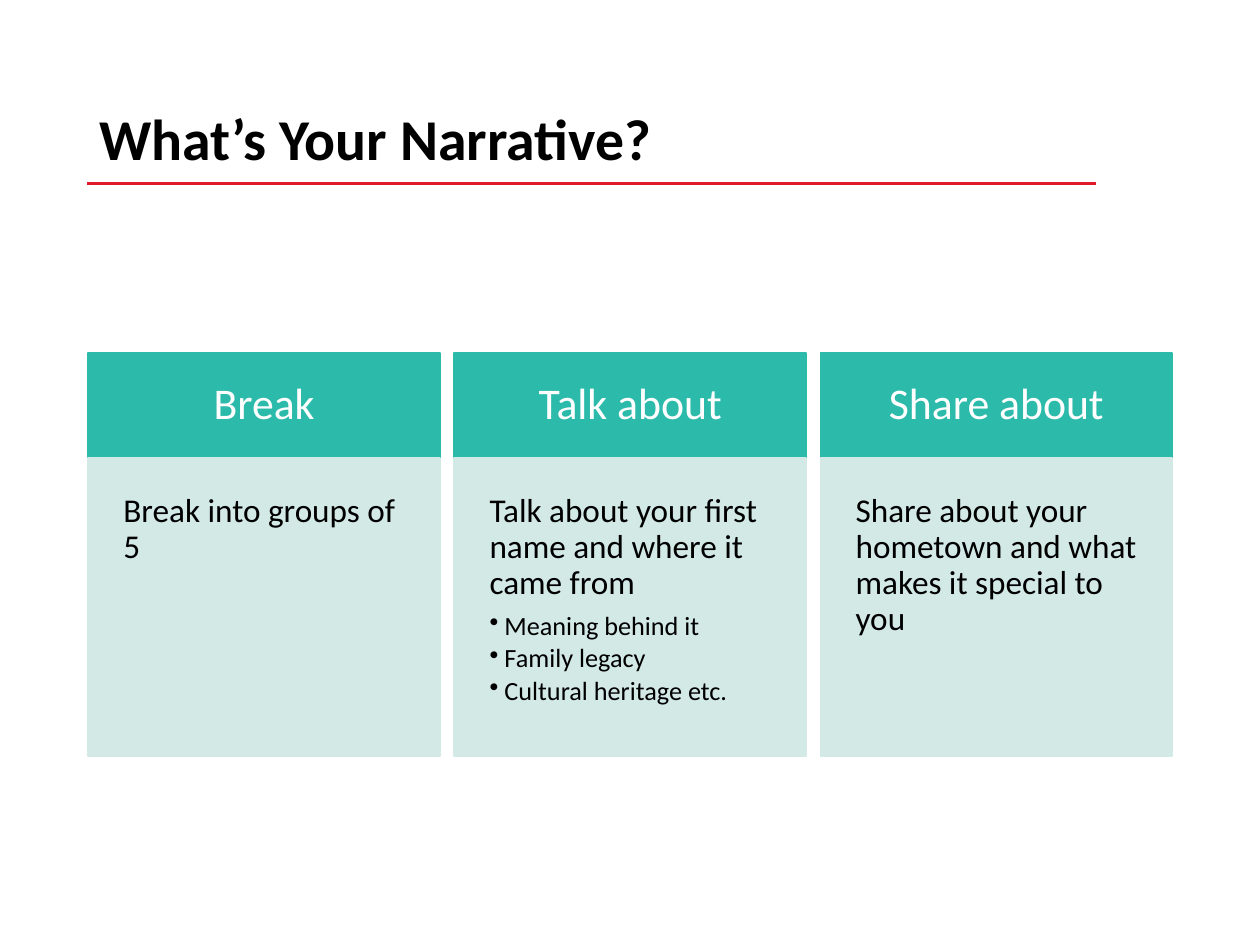
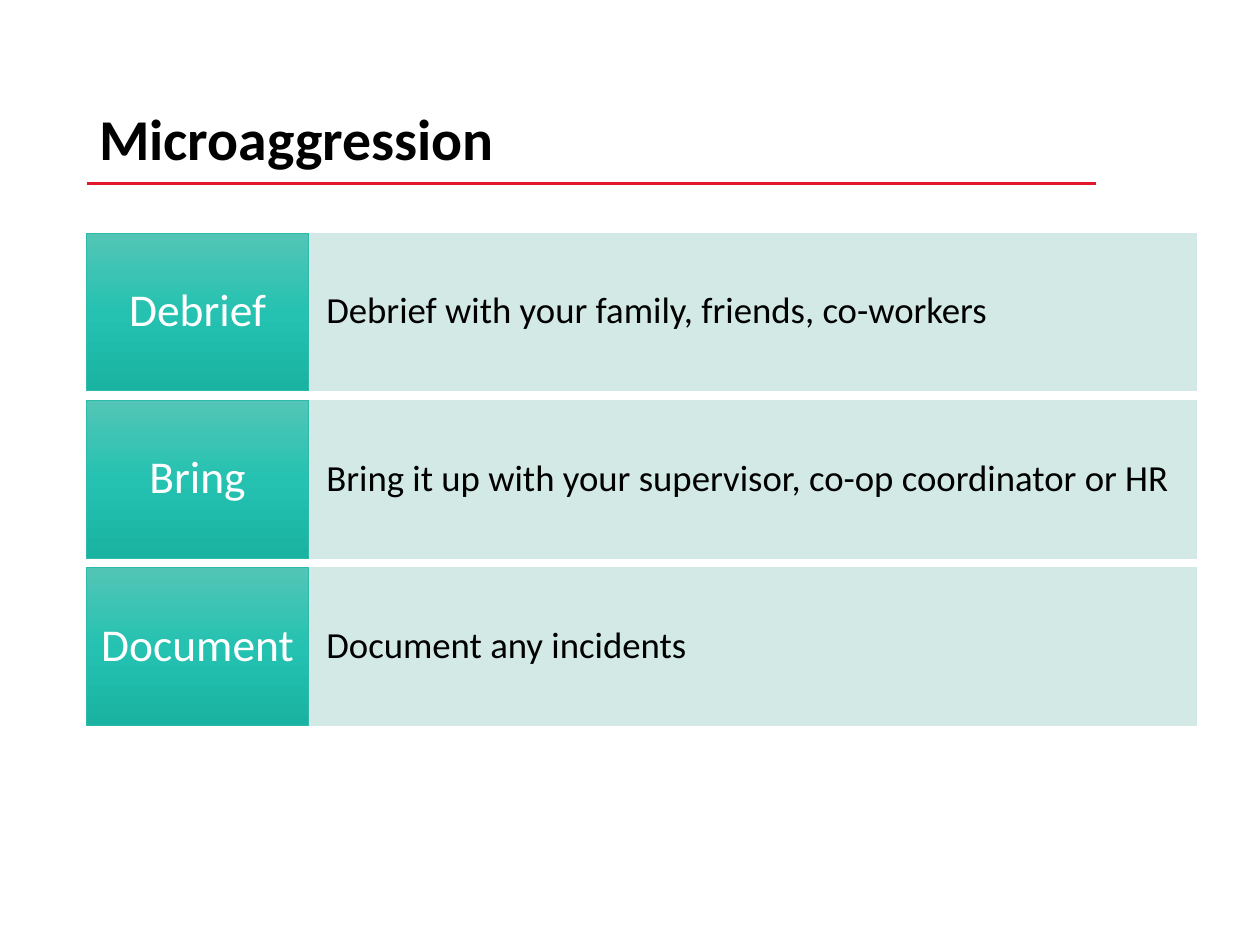
from copy import deepcopy

from lxml.etree import SubElement
from pptx import Presentation
from pptx.dml.color import RGBColor
from pptx.enum.shapes import MSO_CONNECTOR, MSO_SHAPE
from pptx.enum.text import MSO_ANCHOR, PP_ALIGN
from pptx.oxml.ns import qn
from pptx.util import Cm, Pt

COLOURS = {
    "rule": "E1192B",
    "title": "000000",
    "heading": "2CBBAB",
    "heading_text": "FFFFFF",
    "panel": "D2E9E5",
    "panel_text": "000000",
}
HEADING_GRADIENT = ["53C5B6", "25C2B1", "1AB3A2"]
FONT = "Calibri"
LEFT = 1.75

NARRATIVE_STEPS = [
    ("Break", "Break into groups of 5", []),
    ("Talk about", "Talk about your first name and where it came from",
     ["Meaning behind it", "Family legacy", "Cultural heritage etc."]),
    ("Share about", "Share about your hometown and what makes it special to you", []),
]
RESPONSES = [
    ("Debrief", "Debrief with your family, friends, co-workers"),
    ("Bring", "Bring it up with your supervisor, co-op coordinator or HR"),
    ("Document", "Document any incidents"),
]


def rgb(name):
    """Return the named colour."""
    return RGBColor.from_string(COLOURS[name])


def style_paragraph(paragraph, size, colour, bold=False, after=0.0):
    """Set the font and spacing, with the space after as a share of the size."""
    paragraph.line_spacing = 0.9
    paragraph.space_after = Pt(size * after)
    for run in paragraph.runs:
        run.font.name = FONT
        run.font.size = Pt(size)
        run.font.bold = bold
        run.font.color.rgb = rgb(colour)


def set_margins(text_frame, horizontal, vertical):
    """Wrap the text inside the given margins."""
    text_frame.word_wrap = True
    text_frame.margin_left = text_frame.margin_right = Cm(horizontal)
    text_frame.margin_top = text_frame.margin_bottom = Cm(vertical)


def add_titled_slide(presentation, title):
    """Add a blank slide with the shared title and red rule."""
    slide = presentation.slides.add_slide(presentation.slide_layouts[6])
    rule = slide.shapes.add_connector(
        MSO_CONNECTOR.STRAIGHT, Cm(LEFT), Cm(3.7), Cm(22.1), Cm(3.7))
    rule.line.color.rgb = rgb("rule")
    rule.line.width = Pt(2)
    SubElement(rule._element.spPr, qn("a:effectLst"))

    text_box = slide.shapes.add_textbox(Cm(LEFT), Cm(1.02), Cm(21.9), Cm(3.68))
    text_frame = text_box.text_frame
    text_frame.word_wrap = True
    text_frame.vertical_anchor = MSO_ANCHOR.MIDDLE
    text_frame.text = title
    style_paragraph(text_frame.paragraphs[0], 33, "title", bold=True)
    return slide


def add_block(slide, box, kind, text, size, margins, line_width, centred=False):
    """Add a filled rectangle with text, coloured as a heading or a panel."""
    shape = slide.shapes.add_shape(MSO_SHAPE.RECTANGLE, *map(Cm, box))
    shape.shadow.inherit = False
    shape.fill.solid()
    shape.fill.fore_color.rgb = rgb(kind)
    shape.line.color.rgb = rgb(kind)
    shape.line.width = Pt(line_width)
    text_frame = shape.text_frame
    set_margins(text_frame, *margins)
    text_frame.vertical_anchor = MSO_ANCHOR.MIDDLE
    text_frame.text = text
    paragraph = text_frame.paragraphs[0]
    paragraph.alignment = PP_ALIGN.CENTER if centred else PP_ALIGN.LEFT
    style_paragraph(paragraph, size, f"{kind}_text", after=0.35)
    return shape


def fill_gradient(shape, colours):
    """Fill a shape from top to bottom with three evenly spaced colours."""
    shape.fill.gradient()
    shape.fill.gradient_angle = 270
    stop_list = shape._element.spPr.find(".//" + qn("a:gsLst"))
    stop_list.append(deepcopy(stop_list[0]))
    for index, stop in enumerate(shape.fill.gradient_stops):
        stop.position = index / (len(colours) - 1)
        stop.color.rgb = RGBColor.from_string(colours[index])


def add_bullet(text_frame, text):
    """Append a small bulleted paragraph."""
    paragraph = text_frame.add_paragraph()
    paragraph.text = text
    paragraph.alignment = PP_ALIGN.LEFT
    properties = paragraph._p.get_or_add_pPr()
    properties.set("marL", str(Cm(0.3)))
    properties.set("indent", str(-Cm(0.3)))
    SubElement(properties, qn("a:buChar"), char="•")
    style_paragraph(paragraph, 15, "panel_text", after=0.15)


def add_step_column(slide, index, heading, text, bullets):
    """Add a heading with its panel below."""
    width, gap, top, heading_height = 7.09, 0.29, 7.11, 2.13
    left = 1.78 + index * (width + gap)
    add_block(slide, (left, top, width, heading_height), "heading", heading,
              25, (0.56, 0.56), 1, centred=True)
    panel = add_block(slide, (left, top + heading_height, width, 6), "panel",
                      text, 19, (0.71, 0.71), 1)
    panel.text_frame.vertical_anchor = MSO_ANCHOR.TOP
    for bullet in bullets:
        add_bullet(panel.text_frame, bullet)


def add_response_row(slide, index, heading, text):
    """Add a gradient heading with its panel to the right."""
    heading_width, height, gap = 4.47, 3.18, 0.19
    top = 4.7 + index * (height + gap)
    add_block(slide, (LEFT + heading_width, top, 17.91, height), "panel", text,
              21, (0.36, 0.81), 0.5)
    label = add_block(slide, (LEFT, top, heading_width, height), "heading",
                      heading, 26, (0.23, 0.3), 0.5, centred=True)
    fill_gradient(label, HEADING_GRADIENT)


def main():
    """Build both slides and save the presentation."""
    presentation = Presentation()
    presentation.slide_width = Cm(25.4)
    presentation.slide_height = Cm(19.05)

    narrative = add_titled_slide(presentation, "What’s Your Narrative?")
    for index, step in enumerate(NARRATIVE_STEPS):
        add_step_column(narrative, index, *step)

    microaggression = add_titled_slide(presentation, "Microaggression")
    for index, response in enumerate(RESPONSES):
        add_response_row(microaggression, index, *response)

    presentation.save("out.pptx")


if __name__ == "__main__":
    main()
